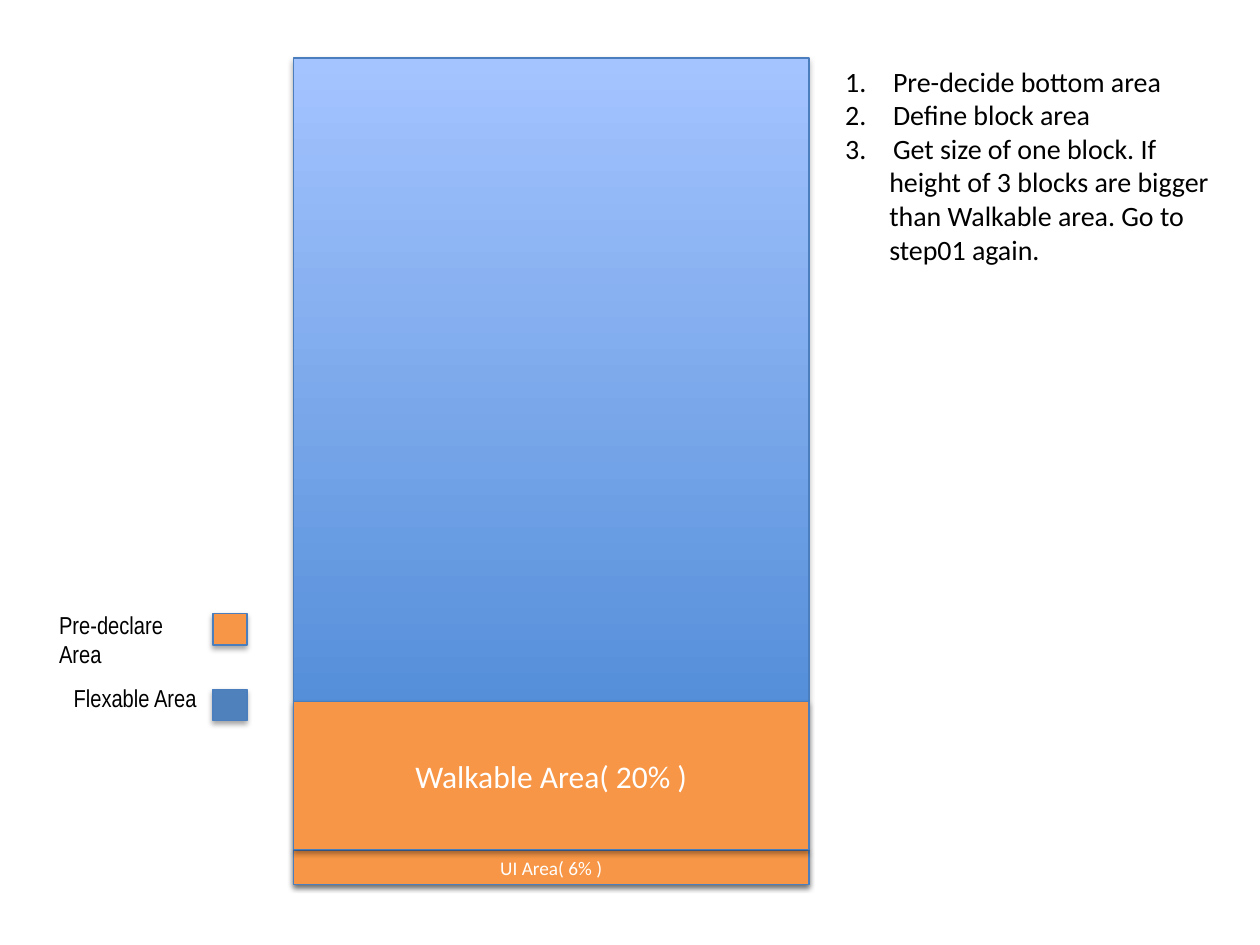
from dataclasses import dataclass

from lxml.etree import SubElement
from pptx import Presentation
from pptx.dml.color import RGBColor
from pptx.enum.shapes import MSO_SHAPE
from pptx.enum.text import MSO_ANCHOR, MSO_AUTO_SIZE, PP_ALIGN
from pptx.oxml import parse_xml
from pptx.oxml.ns import nsdecls, qn
from pptx.util import Inches, Pt

ORANGE = RGBColor(0xF7, 0x96, 0x46)
BLUE = RGBColor(0x4F, 0x81, 0xBD)
EDGE = RGBColor(0x4B, 0x7E, 0xBC)
DEEP = RGBColor(0x3F, 0x80, 0xCE)
PALE = RGBColor(0xA4, 0xC4, 0xFF)
WHITE = RGBColor(0xFF, 0xFF, 0xFF)
BLACK = RGBColor(0, 0, 0)

SHADOW = f"""<a:effectLst {nsdecls('a')}>
  <a:outerShdw blurRad="{Pt(3.1)}" dist="{Pt(1.8)}" dir="5400000" rotWithShape="0">
    <a:srgbClr val="000000"><a:alpha val="35000"/></a:srgbClr>
  </a:outerShdw>
</a:effectLst>"""


@dataclass
class Block:
    left: float
    top: float
    width: float
    height: float
    fill: RGBColor | None = None
    text: str = ""
    size: int = 18


@dataclass
class Label:
    text: str
    left: float
    top: float
    width: float
    align: PP_ALIGN


@dataclass
class Note:
    text: str
    step: bool = False


def add_run(para, text: str, size: int, font: str, color: RGBColor) -> None:
    run = para.add_run()
    run.text = text
    run.font.size = Pt(size)
    run.font.name = font
    run.font.color.rgb = color


def add_block(slide, block: Block) -> None:
    shape = slide.shapes.add_shape(
        MSO_SHAPE.RECTANGLE, Inches(block.left), Inches(block.top),
        Inches(block.width), Inches(block.height))
    if block.fill is None:
        shape.fill.gradient()
        shape.fill.gradient_angle = 90
        for stop, color in zip(shape.fill.gradient_stops, (DEEP, PALE)):
            stop.color.rgb = color
    else:
        shape.fill.solid()
        shape.fill.fore_color.rgb = block.fill
    shape.line.color.rgb = EDGE
    shape.line.width = Pt(0.75)
    shape._element.spPr.append(parse_xml(SHADOW))
    if block.text:
        frame = shape.text_frame
        frame.vertical_anchor = MSO_ANCHOR.MIDDLE
        para = frame.paragraphs[0]
        para.alignment = PP_ALIGN.CENTER
        add_run(para, block.text, block.size, "Calibri", WHITE)


def add_box(slide, left: float, top: float, width: float, height: float):
    box = slide.shapes.add_textbox(
        Inches(left), Inches(top), Inches(width), Inches(height))
    frame = box.text_frame
    frame.word_wrap = True
    frame.auto_size = MSO_AUTO_SIZE.SHAPE_TO_FIT_TEXT
    return frame


def set_indent(para, note: Note) -> None:
    props = para._p.get_or_add_pPr()
    props.set("marL", str(Inches(0.38 if note.step else 0.35)))
    props.set("indent", str(Inches(-0.38 if note.step else 0)))
    if note.step:
        SubElement(props, qn("a:buFont"), typeface="+mj-lt")
        SubElement(props, qn("a:buAutoNum"), type="arabicPeriod")


deck = Presentation()
deck.slide_width, deck.slide_height = Inches(10), Inches(7.5)
slide = deck.slides.add_slide(deck.slide_layouts[6])

# Screen areas and legend swatches
LEFT, WIDTH, SIDE = 2.33, 4.09, 1.69
BLOCKS = [
    Block(LEFT, 0.46, WIDTH, 6.55),
    Block(LEFT, 6.75, WIDTH, 0.27, ORANGE, "UI Area( 6% )", 11),
    Block(LEFT, 5.57, WIDTH, 1.17, ORANGE, "Walkable Area( 20% )"),
    Block(SIDE, 4.87, 0.27, 0.25, ORANGE),
    Block(SIDE, 5.47, 0.27, 0.25, BLUE),
]
for block in BLOCKS:
    add_block(slide, block)

# Legend labels
LABELS = [
    Label("Pre-declare Area", 0.37, 4.79, 1.32, PP_ALIGN.LEFT),
    Label("Flexable Area", 0.35, 5.37, 1.31, PP_ALIGN.RIGHT),
]
for label in LABELS:
    frame = add_box(slide, label.left, label.top, label.width, 0.34)
    para = frame.paragraphs[0]
    para.alignment = label.align
    add_run(para, label.text, 14, "Arial Narrow", BLACK)

# Numbered steps
NOTES = [
    Note("Pre-decide bottom area", True),
    Note("Define block area", True),
    Note("Get size of one block. If ", True),
    Note("height of 3 blocks are bigger"),
    Note("than Walkable area. Go to "),
    Note("step01 again. "),
]
frame = add_box(slide, 6.61, 0.46, 3.13, 1.99)
for i, note in enumerate(NOTES):
    para = frame.add_paragraph() if i else frame.paragraphs[0]
    set_indent(para, note)
    add_run(para, note.text, 16, "Calibri", BLACK)

deck.save("out.pptx")
